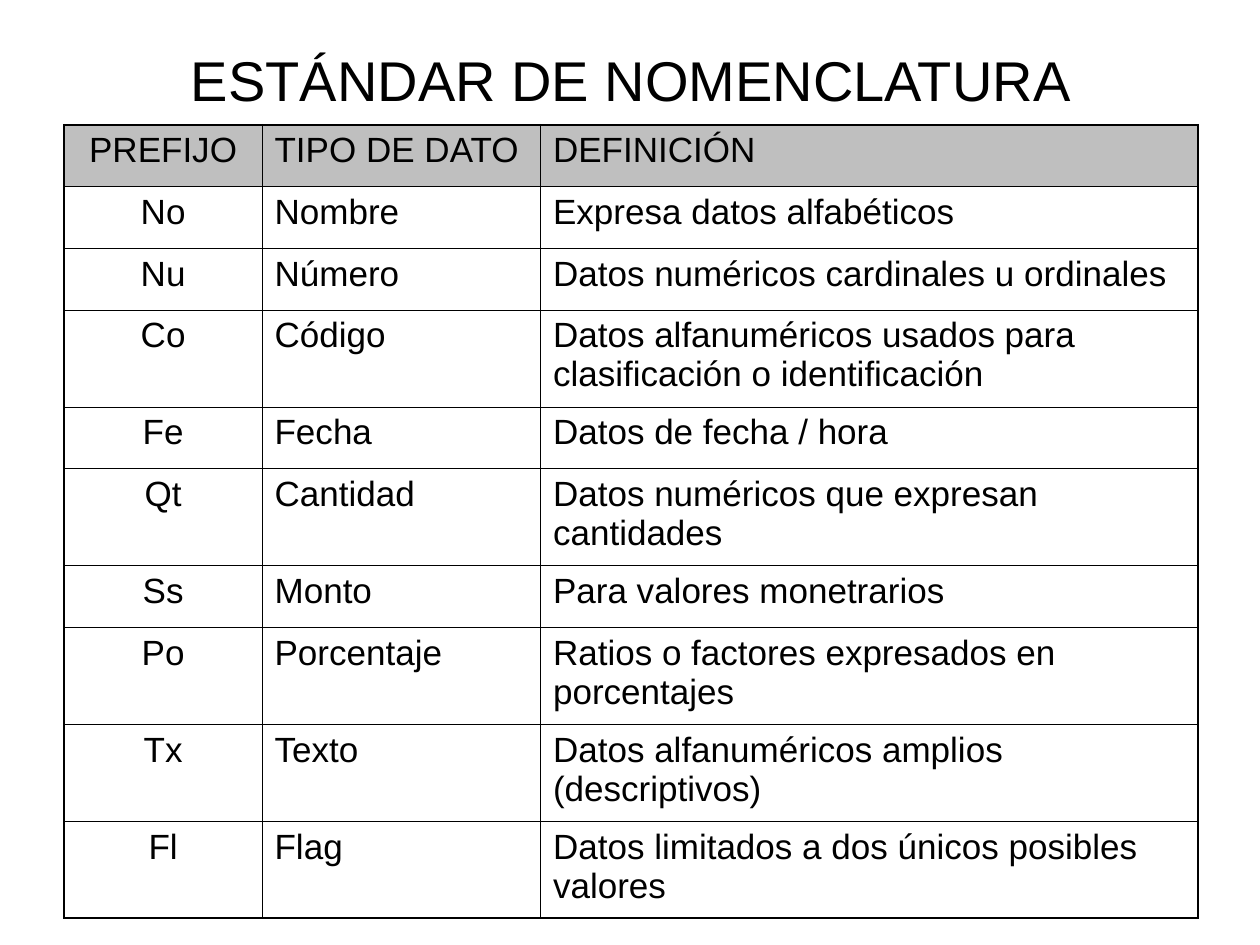
from lxml import etree
from pptx import Presentation
from pptx.dml.color import RGBColor
from pptx.enum.text import MSO_ANCHOR, PP_ALIGN
from pptx.oxml.ns import qn
from pptx.util import Inches, Pt

CENTER, LEFT = PP_ALIGN.CENTER, PP_ALIGN.LEFT
MIDDLE, TOP = MSO_ANCHOR.MIDDLE, MSO_ANCHOR.TOP
FONT = "Arial"
COLORS = {"ink": "000000", "head": "808080"}
THICK, THIN = Pt(1.08), Pt(0.45)
COLS = [1.57, 2.21, 5.22]
ONE, TWO = 0.49, 0.77  # height of rows with one or two lines

# Row height, then the text of its cells
ROWS = [
    (ONE, "PREFIJO", "TIPO DE DATO", "DEFINICIÓN"),
    (ONE, "No", "Nombre", "Expresa datos alfabéticos"),
    (ONE, "Nu", "Número", "Datos numéricos cardinales u ordinales"),
    (TWO, "Co", "Código", "Datos alfanuméricos usados para clasificación o identificación"),
    (ONE, "Fe", "Fecha", "Datos de fecha / hora"),
    (TWO, "Qt", "Cantidad", "Datos numéricos que expresan cantidades"),
    (ONE, "Ss", "Monto", "Para valores monetrarios"),
    (TWO, "Po", "Porcentaje", "Ratios o factores expresados en porcentajes"),
    (TWO, "Tx", "Texto", "Datos alfanuméricos amplios (descriptivos)"),
    (TWO, "Fl", "Flag", "Datos limitados a dos únicos posibles valores"),
]


def set_text(frame, text, size, align):
    frame.text = text
    par = frame.paragraphs[0]
    par.alignment = align
    font = par.runs[0].font
    font.name, font.size, font.bold = FONT, Pt(size), False
    font.color.rgb = RGBColor.from_string(COLORS["ink"])
    return par


def add_edge(cell, side, width):
    line = etree.SubElement(cell._tc.get_or_add_tcPr(), qn(f"a:ln{side}"), w=str(width))
    fill = etree.SubElement(line, qn("a:solidFill"))
    etree.SubElement(fill, qn("a:srgbClr"), val=COLORS["ink"])


def fill_head(cell):
    cell.fill.solid()
    cell.fill.fore_color.rgb = RGBColor.from_string(COLORS["head"])
    color = cell._tc.tcPr.find(qn("a:solidFill"))[0]
    etree.SubElement(color, qn("a:alpha"), val="50000")


def add_title(slide, left, top, width, height):
    title = slide.shapes.title
    title.left, title.top, title.width, title.height = left, top, width, height
    set_text(title.text_frame, "ESTÁNDAR DE NOMENCLATURA", 32, CENTER)
    title.text_frame.vertical_anchor = MIDDLE


def add_grid(slide, left, top, width, height):
    table = slide.shapes.add_table(len(ROWS), len(COLS), left, top, width, height).table
    table.first_row = table.horz_banding = False
    for col, size in zip(table.columns, COLS):
        col.width = Inches(size)
    for r, (size, *texts) in enumerate(ROWS):
        table.rows[r].height = Inches(size)
        for c, text in enumerate(texts):
            cell = table.cell(r, c)
            par = set_text(cell.text_frame, text, 20, LEFT if c else CENTER)
            par.space_before = Pt(5)
            cell.vertical_anchor = TOP
            # Thick lines only around the outside
            outer = {"L": c == 0, "R": c == len(COLS) - 1,
                     "T": r == 0, "B": r == len(ROWS) - 1}
            for side, edge in outer.items():
                add_edge(cell, side, THICK if edge else THIN)
            if r == 0:
                fill_head(cell)
            else:
                cell.fill.background()


def main():
    deck = Presentation()
    deck.slide_width, deck.slide_height = Inches(10), Inches(7.5)
    slide = deck.slides.add_slide(deck.slide_layouts[5])
    left, width = Inches(0.51), Inches(9)
    add_title(slide, left, Inches(0), width, Inches(1.25))
    add_grid(slide, left, Inches(0.99), width, Inches(6.3))
    deck.save("out.pptx")


if __name__ == "__main__":
    main()
